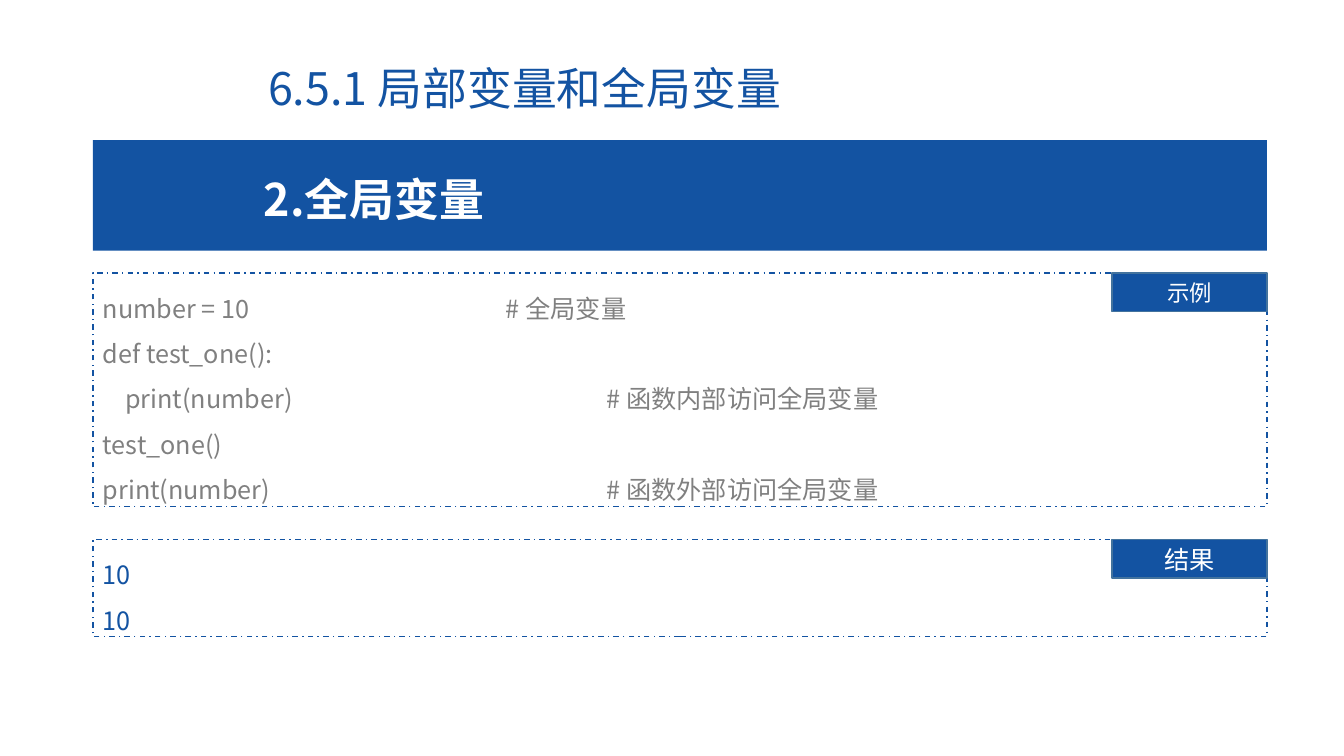
from lxml import etree
from pptx import Presentation
from pptx.dml.color import RGBColor
from pptx.enum.dml import MSO_LINE
from pptx.enum.shapes import MSO_SHAPE
from pptx.enum.text import MSO_ANCHOR, MSO_AUTO_SIZE, PP_ALIGN
from pptx.oxml.ns import qn
from pptx.util import Cm, Pt

RECT = MSO_SHAPE.RECTANGLE
DASH = MSO_LINE.DASH_DOT
TOP, MIDDLE = MSO_ANCHOR.TOP, MSO_ANCHOR.MIDDLE
LEFT, CENTER = PP_ALIGN.LEFT, PP_ALIGN.CENTER
FIXED = MSO_AUTO_SIZE.NONE

FONT = "Noto Sans CJK SC"
BLUE, EDGE, GRAY, WHITE = "1353A2", "43739E", "808080", "FFFFFF"
SIDE, WIDTH = 2.34, 29.59
TAG_W, TAG_H = 3.91, 0.97

CODE = [
    ("number = 10\t# 全局变量", 10.16),
    ("def test_one():", None),
    ("    print(number)\t# 函数内部访问全局变量", 12.7),
    ("test_one()", None),
    ("print(number)\t# 函数外部访问全局变量", 12.7),
]
RESULT = [("10", None), ("10", None)]


def paint(form, color):
    form.rgb = RGBColor.from_string(color)


def add_tab(para, stop):
    tabs = etree.SubElement(para._p.get_or_add_pPr(), qn("a:tabLst"))
    etree.SubElement(tabs, qn("a:tab"), pos=str(Cm(stop)), algn="l")


def write(shape, lines, size, color, bold=False, align=LEFT,
          anchor=TOP, space=1.0, indent=0):
    frame = shape.text_frame
    frame.word_wrap = True
    frame.auto_size = FIXED
    frame.vertical_anchor = anchor
    for i, (text, stop) in enumerate(lines):
        para = frame.paragraphs[0] if i == 0 else frame.add_paragraph()
        if stop:
            add_tab(para, stop)
        if indent:
            para._p.get_or_add_pPr().set("indent", str(Cm(indent)))
        para.alignment = align
        para.line_spacing = space
        run = para.add_run()
        run.text = text
        run.font.size = Pt(size)
        run.font.bold = bold
        run.font.name = FONT
        paint(run.font.color, color)
        etree.SubElement(run._r.get_or_add_rPr(), qn("a:ea"), typeface=FONT)


def add_box(slide, left, top, width, height, fill=None, line=None, dash=None):
    box = slide.shapes.add_shape(RECT, Cm(left), Cm(top), Cm(width), Cm(height))
    box.shadow.inherit = False
    if fill:
        box.fill.solid()
        paint(box.fill.fore_color, fill)
    else:
        box.fill.background()
    if line:
        paint(box.line.color, line)
        box.line.width = Pt(1)
        if dash:
            box.line.dash_style = dash
    else:
        box.line.fill.background()
    return box


def add_title(slide, text):
    title = slide.shapes.title
    title.left, title.top = Cm(6.5), Cm(1.55)
    title.width, title.height = Cm(19.46), Cm(1.5)
    write(title, [(text, None)], 32, BLUE, anchor=MIDDLE, space=0.9)


def add_banner(slide, text):
    add_box(slide, SIDE, 3.53, WIDTH, 2.79, fill=BLUE)
    head = add_box(slide, 5.13, 3.53, 25.04, 2.31, fill=BLUE)
    write(head, [(text, None)], 32, WHITE, bold=True, space=1.5, indent=1.27)


def add_panel(slide, top, height, lines, color, label, size):
    panel = add_box(slide, SIDE, top, WIDTH, height, line=BLUE, dash=DASH)
    write(panel, lines, 18, color, space=1.5)
    tag = add_box(slide, SIDE + WIDTH - TAG_W, top, TAG_W, TAG_H, BLUE, EDGE)
    write(tag, [(label, None)], size, WHITE, align=CENTER, anchor=MIDDLE)


def main():
    deck = Presentation()
    deck.slide_width, deck.slide_height = Cm(33.87), Cm(19.05)
    slide = deck.slides.add_slide(deck.slide_layouts[5])
    add_title(slide, "6.5.1 局部变量和全局变量")
    add_banner(slide, "2.全局变量")
    add_panel(slide, 6.88, 5.89, CODE, GRAY, "示例", 16)
    add_panel(slide, 13.6, 2.44, RESULT, BLUE, "结果", 18)
    deck.save("out.pptx")


if __name__ == "__main__":
    main()
